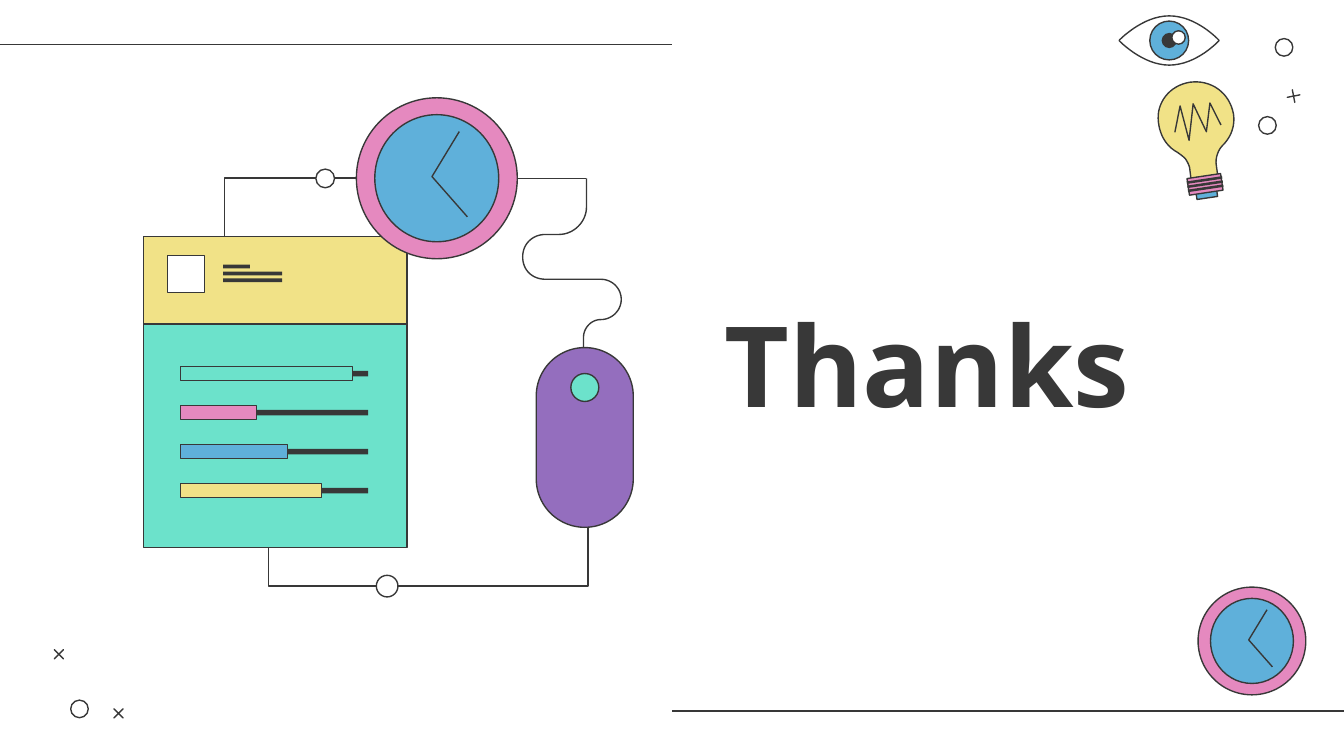
"""Build the closing thank-you slide with its line-art illustrations."""
from dataclasses import dataclass

from lxml.etree import SubElement
from pptx import Presentation
from pptx.dml.color import RGBColor
from pptx.enum.shapes import MSO_CONNECTOR, MSO_SHAPE
from pptx.enum.text import MSO_ANCHOR, MSO_AUTO_SIZE, PP_ALIGN
from pptx.oxml.ns import qn
from pptx.util import Pt


@dataclass(frozen=True)
class Theme:
    ink: RGBColor = RGBColor.from_string("383838")
    white: RGBColor = RGBColor.from_string("FFFFFF")
    blue: RGBColor = RGBColor.from_string("5FB0DA")
    pink: RGBColor = RGBColor.from_string("E589BF")
    yellow: RGBColor = RGBColor.from_string("F1E287")
    mint: RGBColor = RGBColor.from_string("6CE2CB")
    purple: RGBColor = RGBColor.from_string("946EBE")
    font: str = "Open Sans"
    title_size: float = 60
    stroke: float = 0.75


theme = Theme()
deck = Presentation()
deck.slide_width, deck.slide_height = Pt(720), Pt(405)
page = deck.slides.add_slide(deck.slide_layouts[5])
shapes = page.shapes


def paint(shape, fill=None, outlined=True, rotation=0):
    """Give a shape its fill, outline and rotation."""
    shape.shadow.inherit = False
    shape.rotation = rotation
    if fill is None:
        shape.fill.background()
    else:
        shape.fill.solid()
        shape.fill.fore_color.rgb = fill
    if outlined:
        shape.line.color.rgb = theme.ink
        shape.line.width = Pt(theme.stroke)
    else:
        shape.line.fill.background()
    return shape


def trace(start, steps, fill=None):
    """Draw straight steps (x, y) and Bezier steps (two controls and an end)."""
    points = [start]
    for step in steps:
        if len(step) == 2:
            points.append(step)
            continue
        x0, y0 = points[-1]
        x1, y1, x2, y2, x3, y3 = step
        for part in range(1, 17):
            t = part / 16
            u = 1 - t
            points.append((
                u**3 * x0 + 3 * u * u * t * x1 + 3 * u * t * t * x2 + t**3 * x3,
                u**3 * y0 + 3 * u * u * t * y1 + 3 * u * t * t * y2 + t**3 * y3,
            ))
    corners = [(Pt(x), Pt(y)) for x, y in points]
    builder = shapes.build_freeform(*corners[0], scale=1.0)
    builder.add_line_segments(corners[1:], close=fill is not None)
    return paint(builder.convert_to_shape(), fill)


title = shapes.title
title.left, title.top, title.width, title.height = Pt(380.9), Pt(167), Pt(235.4), Pt(70.6)
frame = title.text_frame
frame.text = "Thanks"
frame.word_wrap = True
frame.auto_size = MSO_AUTO_SIZE.NONE
frame.vertical_anchor = MSO_ANCHOR.BOTTOM
frame.margin_left = frame.margin_right = frame.margin_top = frame.margin_bottom = Pt(7.2)
para = frame.paragraphs[0]
para.alignment = PP_ALIGN.LEFT
span = para.runs[0]
span.font.name = theme.font
span.font.size = Pt(theme.title_size)
span.font.bold = True
span.font.color.rgb = theme.ink

mark_size = 9.4
for kind, center_x, center_y, rotation in [
    (MSO_SHAPE.OVAL, 679, 67.2, 0),
    (MSO_SHAPE.OVAL, 687.9, 25.4, 0),
    (MSO_SHAPE.OVAL, 42.6, 379.8, 0),
    (MSO_SHAPE.MATH_PLUS, 693, 51.5, 258.9),
    (MSO_SHAPE.MATH_PLUS, 63.5, 382.2, 315),
    (MSO_SHAPE.MATH_PLUS, 31.6, 350.5, 315),
]:
    mark = shapes.add_shape(kind, Pt(center_x - mark_size / 2), Pt(center_y - mark_size / 2),
                            Pt(mark_size), Pt(mark_size))
    paint(mark, rotation=rotation)
    if kind == MSO_SHAPE.MATH_PLUS:
        mark.adjustments[0] = 0

for left, right, y in [(0, 360, 24), (360, 720, 381), (253.4, 314.2, 95.6)]:
    rule = shapes.add_connector(MSO_CONNECTOR.STRAIGHT, Pt(left), Pt(y), Pt(right), Pt(y))
    rule.line.color.rgb = theme.ink
    rule.line.width = Pt(theme.stroke)
    SubElement(rule._element.spPr, qn("a:effectLst"))

trace((599.5, 21.7), [
    (599.5, 21.7, 612, 8.5, 626.4, 8.5), (641.2, 8.5, 653.2, 21.7, 653.2, 21.7),
    (653.2, 21.7, 641.2, 34.9, 626.4, 34.9), (612, 34.9, 599.5, 21.7, 599.5, 21.7),
], theme.white)

trace((315, 276.5), [(315, 314), (289.4, 314)])
trace((144, 241.2), [(144, 314), (290.2, 314)])
trace((120.4, 157), [(120.4, 95.4), (244, 95.4)])
trace((314.2, 95.6), [
    (314.2, 110.9), (314.2, 118.8, 307.4, 125.6, 299.5, 125.6),
    (292.3, 125.6), (285.1, 125.6, 280, 130.8, 280, 137.6),
    (280, 144.7, 285.1, 149.6, 292.3, 149.6),
    (321.8, 149.6), (328, 149.6, 332.8, 154.5, 332.8, 160.4),
    (332.8, 166.2, 328, 171.2, 321.8, 171.2),
    (316.8, 171.2, 312.6, 175.6, 312.6, 180.7), (312.6, 189),
])

for box, fill in [
    ((76.8, 126.7, 141.4, 166.7), theme.mint),
    ((76.8, 126.7, 141.4, 46.8), theme.yellow),
    ((89.6, 136.8, 20, 20), theme.white),
]:
    paint(shapes.add_shape(MSO_SHAPE.RECTANGLE, *map(Pt, box)), fill)

for row, width in enumerate([14.4, 31.7, 31.7]):
    text_line = shapes.add_shape(MSO_SHAPE.RECTANGLE, Pt(119.5), Pt(141.8 + 3.7 * row),
                                 Pt(width), Pt(2))
    paint(text_line, theme.ink, outlined=False)

for row, (width, fill) in enumerate([
    (92.2, theme.mint), (41, theme.pink), (57.6, theme.blue), (75.6, theme.yellow),
]):
    top = 196.4 + 20.9 * row
    track = shapes.add_shape(MSO_SHAPE.RECTANGLE, Pt(108), Pt(top + 2.3), Pt(89.2), Pt(3))
    paint(track, theme.ink, outlined=False)
    bar = shapes.add_shape(MSO_SHAPE.RECTANGLE, Pt(96.6), Pt(top), Pt(width), Pt(7.4))
    paint(bar, fill)

mouse = shapes.add_shape(MSO_SHAPE.ROUNDED_RECTANGLE, Pt(287.3), Pt(186.2), Pt(52), Pt(96.3))
mouse.adjustments[0] = 0.5
paint(mouse, theme.purple)

for center_x, center_y, size, fill in [
    (626.4, 21.7, 20.8, theme.blue),
    (626.4, 21.7, 8.2, theme.ink),
    (631.4, 20.1, 7.2, theme.white),
    (207.4, 314, 11.6, theme.white),
    (174.2, 95.6, 10, theme.white),
    (313.3, 207.6, 15, theme.mint),
]:
    disc = shapes.add_shape(MSO_SHAPE.OVAL, Pt(center_x - size / 2), Pt(center_y - size / 2),
                            Pt(size), Pt(size))
    paint(disc, fill, outlined=fill != theme.ink)

for center_x, center_y, size in [(234, 95.5, 86.2), (670.7, 343.4, 57.7)]:
    for wide, high, fill in [(1, 1, theme.pink), (0.77, 0.79, theme.blue)]:
        dial = shapes.add_shape(
            MSO_SHAPE.OVAL, Pt(center_x - wide * size / 2), Pt(center_y - high * size / 2),
            Pt(wide * size), Pt(high * size))
        paint(dial, fill)
    hands = [(center_x + x * size, center_y + y * size)
             for x, y in [(0.14, -0.29), (-0.03, -0.01), (0.19, 0.24)]]
    trace(hands[0], hands[1:])

trace((637.4, 44.1), [
    (626.4, 45.8, 619.2, 55.4, 620.6, 65.5), (621.4, 72.7, 625, 78.5, 630.7, 81.6),
    (632.2, 82.6, 633.6, 83.7, 635, 85), (636, 86.6, 637.2, 88.5, 637.4, 90.7),
    (638, 95.6), (652.3, 93.6), (651.6, 88.6),
    (651.3, 86.6, 651.5, 84.5, 652.2, 82.6), (652.8, 80.8, 653.7, 79.2, 655.1, 77.8),
    (659.5, 73.4, 661.7, 67.5, 660.8, 61.2), (658.8, 49.7, 648.7, 42.5, 637.4, 44.1),
], theme.yellow)
stripes = [((635.7 + 0.3 * row, 95.8 + 2.2 * row, 19.2, 1.4), theme.ink) for row in range(3)]
for box, fill in [
    ((640.9, 102.1, 11.2, 4), theme.blue),
    ((636.5, 94.3, 18.2, 9), theme.pink),
    *stripes,
]:
    ring = shapes.add_shape(MSO_SHAPE.RECTANGLE, *map(Pt, box))
    paint(ring, fill, outlined=fill != theme.ink, rotation=351.5)
trace((629.4, 70.9), [(632.2, 56.8), (637, 75.2), (639.2, 55.7),
                      (646.3, 70.6), (648.2, 55.2), (654.1, 67)])

deck.save("out.pptx")
